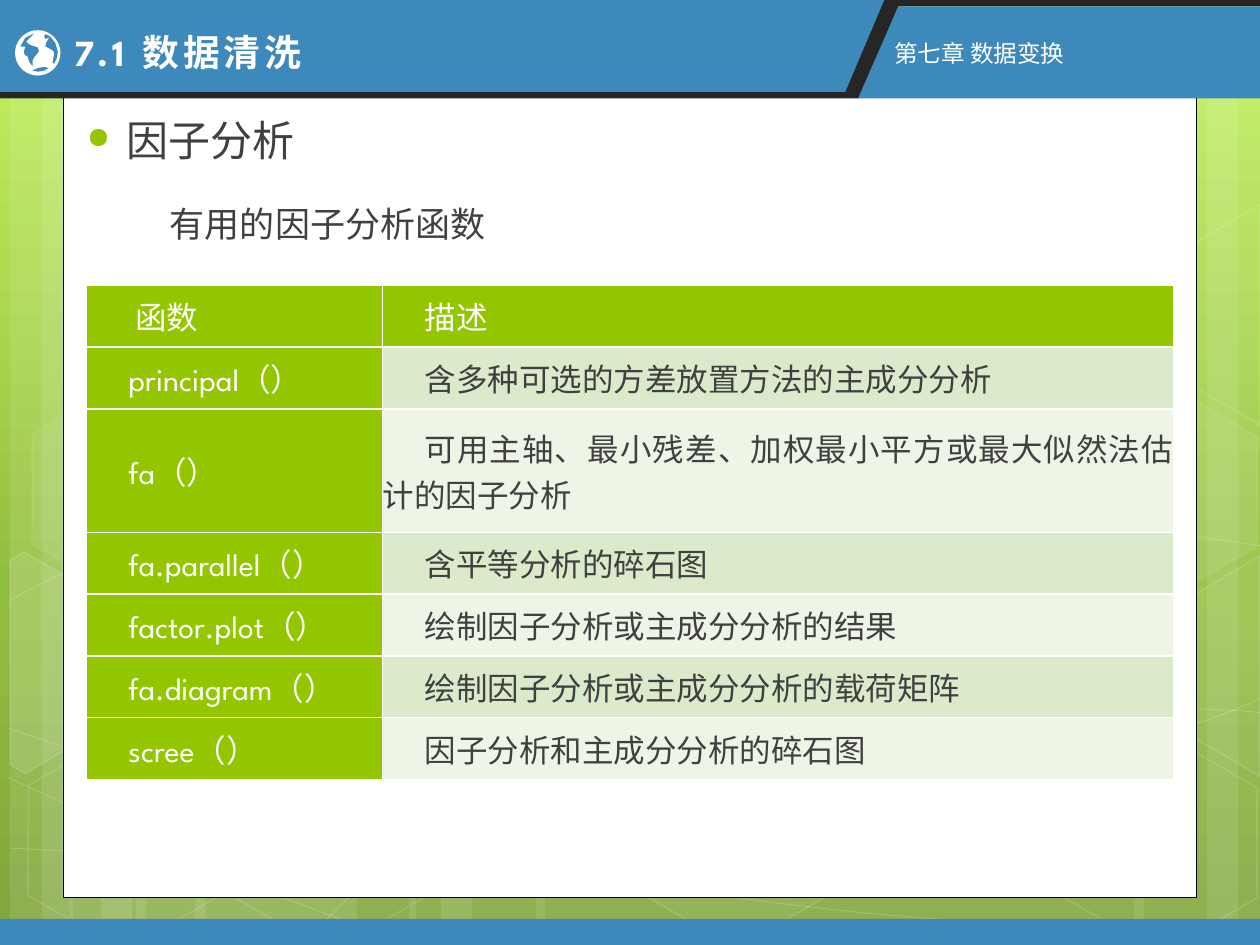
import copy
import math

from lxml import etree
from pptx import Presentation
from pptx.dml.color import RGBColor
from pptx.enum.shapes import MSO_SHAPE
from pptx.enum.text import MSO_ANCHOR, PP_ALIGN
from pptx.oxml.ns import qn
from pptx.util import Pt

RECT, HEXAGON = MSO_SHAPE.RECTANGLE, MSO_SHAPE.HEXAGON
MIDDLE, JUSTIFY = MSO_ANCHOR.MIDDLE, PP_ALIGN.JUSTIFY
FONT = "League Spartan"
BLUE, GREEN, DARK, WHITE, GREY = "3D89BC", "94C600", "262626", "FFFFFF", "404040"


def paint(fill, color, alpha=100):
    """Solid colour for a shape, line, font or cell; alpha 0 means no fill."""
    if alpha == 0:
        fill.background()
        return
    fill.solid()
    fill.fore_color.rgb = RGBColor.from_string(color)
    if alpha < 100:
        clr = fill._xPr.find(qn("a:solidFill"))[0]
        etree.SubElement(clr, qn("a:alpha")).set("val", str(alpha * 1000))


def outline(contours, color, alpha=100, close=True):
    """Freeform in points; further contours cut holes."""
    builder = None
    for contour in contours:
        pts = [(Pt(x), Pt(y)) for x, y in contour]
        if builder is None:
            builder = slide.shapes.build_freeform(*pts[0], scale=1.0)
        else:
            builder.move_to(*pts[0])
        builder.add_line_segments(pts[1:], close=close)
    s = builder.convert_to_shape()
    s.shadow.inherit = False
    paint(s.fill, color, alpha)
    s.line.fill.background()
    return s


prs = Presentation()
prs.slide_width, prs.slide_height = Pt(720), Pt(540)
slide = prs.slides.add_slide(prs.slide_layouts[6])

# Background gradient, top to bottom
bg = slide.background.fill
bg.gradient()
bg.gradient_angle = 270
stop_list = bg._xPr.find(qn("a:gradFill")).find(qn("a:gsLst"))
stop_list.append(copy.deepcopy(stop_list[-1]))
for stop, pos, color in zip(bg.gradient_stops, (0, 0.62, 1), ("C3F35F", "93BF3F", "81A53E")):
    stop.position = pos
    stop.color.rgb = RGBColor.from_string(color)

# Pale vertical bands
for x, w in (
    (77.76, 126), (5.76, 36), (23.76, 59.76), (111.6, 126), (39.6, 36), (57.6, 59.76),
    (527.76, 126), (689.76, 36), (648, 59.76), (306, 221.76), (234, 36), (252, 59.76),
):
    s = slide.shapes.add_shape(RECT, Pt(x), 0, Pt(w), Pt(540))
    s.shadow.inherit = False
    paint(s.fill, WHITE, 10)
    s.line.fill.background()

# Thin curved strands: a start, then Bézier triples, in inches
for nodes in (
    [(.07, 6.73), (.61, 6.76), (1.15, 6.79), (1.9, 6.78), (2.65, 6.77), (3.58, 6.75),
     (4.58, 6.65), (5.58, 6.55), (7, 6.36), (7.92, 6.17), (8.83, 5.98), (9.77, 5.68),
     (10.07, 5.51)],
    [(.07, 4.77), (.36, 4.61), (.65, 4.46), (1.21, 4.31), (1.78, 4.16), (2.59, 3.94),
     (3.47, 3.87), (4.36, 3.8), (5.44, 3.79), (6.54, 3.87), (7.64, 3.95), (9.47, 4.26),
     (10.07, 4.34)],
    [(.06, 6.17), (1.27, 6.72), (2.47, 7.27), (3.34, 7.49)],
    [(.07, 5.78), (.38, 5.89), (.7, 6), (1.28, 6.16), (1.86, 6.31), (2.73, 6.56),
     (3.57, 6.73), (4.4, 6.9), (5.45, 7.08), (6.28, 7.18), (7.11, 7.29), (8, 7.33),
     (8.53, 7.36), (9.05, 7.4), (9.19, 7.38), (9.45, 7.38), (9.71, 7.37), (9.89, 7.35),
     (10.07, 7.34)],
    [(2.42, 7.49), (2.6, 7.29), (2.78, 7.09), (3.02, 6.91), (3.26, 6.73), (3.6, 6.53),
     (3.88, 6.39), (4.16, 6.25), (4.33, 6.19), (4.7, 6.09), (5.06, 5.99), (5.73, 5.85),
     (6.08, 5.78), (6.44, 5.71), (6.49, 5.71), (6.8, 5.69), (7.11, 5.66), (7.6, 5.63),
     (7.94, 5.62), (8.29, 5.61), (9.53, 5.6), (10.06, 5.66)],
):
    curve = [(nodes[0][0] * 72, nodes[0][1] * 72)]
    for i in range(0, len(nodes) - 1, 3):
        for t in (k / 8 for k in range(1, 9)):
            weights = ((1 - t) ** 3, 3 * t * (1 - t) ** 2, 3 * t * t * (1 - t), t ** 3)
            curve.append([72 * sum(f * n[axis] for f, n in zip(weights, nodes[i:i + 4]))
                          for axis in (0, 1)])
    s = outline([curve], WHITE, 0, close=False)
    paint(s.line.fill, WHITE, 20)
    s.line.width = Pt(0.5)

# Hexagons: whole ones, then those cut by the slide edge
for x, y, fill_alpha, line_alpha in (
    (357.84, 424.08, 6, 12), (7.92, 425.5, 0, 12), (10.08, 224.64, 7, 8),
    (125.28, 426.24, 0, 12), (600.48, 426.96, 0, 12), (600.48, 226.08, 7, 8),
):
    s = slide.shapes.add_shape(HEXAGON, Pt(x), Pt(y), Pt(126), Pt(109.44))
    s.adjustments[0], s.adjustments[1] = 0.285, 1.155
    s.rotation = 30
    s.shadow.inherit = False
    paint(s.fill, WHITE, fill_alpha)
    paint(s.line.fill, WHITE, line_alpha)
    s.line.width = Pt(1)

left_cut = [(5.8, 320.4), (13.7, 315.4), (69.1, 347), (68.4, 410.4), (14.4, 442), (5.8, 437)]
right_cut = [(666.7, 349.2), (720, 317.5), (720, 443.5), (666.7, 412.6)]
upper_cut = [(x, y - 200.7) for x, y in right_cut]
for cut, alpha in ((left_cut, 10), (right_cut, 4), (upper_cut, 0)):
    s = outline([cut], WHITE, alpha)
    paint(s.line.fill, WHITE, 12)
    s.line.width = Pt(1)

# White panel and footer bar
panel = slide.shapes.add_shape(RECT, Pt(36), Pt(26), Pt(648), Pt(487))
footer = slide.shapes.add_shape(RECT, 0, Pt(525), Pt(720), Pt(15))
for s, color in ((panel, WHITE), (footer, BLUE)):
    s.shadow.inherit = False
    paint(s.fill, color)
    s.line.fill.background()
paint(panel.line.fill, "000000")
panel.line.width = Pt(0.5)

# Header: title band, dark stripe, chapter band
outline([[(0, 0), (720, 0), (507.6, 0), (485.3, 52.6), (0, 52.6)]], BLUE)
outline([[(505.4, 0), (720, 0), (720, 3.6), (513.4, 3.6), (491, 56.2), (0, 56.2),
          (0, 52.6), (483.1, 52.6)]], DARK)
outline([[(513.4, 3.6), (720, 3.6), (720, 56.2), (490.3, 56.2)]], BLUE)

# Globe icon: disc with land cut out, in hundredths of an inch
disc = [(30 + 18 * math.cos(math.radians(a)), 42 + 18 * math.sin(math.radians(a)))
        for a in range(0, 360, 10)]
east = [(46, 41), (45.3, 46), (43, 51), (41.8, 49.5), (42, 48), (43, 43), (42.3, 40.5), (40, 39),
        (36, 37), (36.5, 34), (39, 30), (36, 31), (35, 29), (36, 27), (40, 29), (44, 34)]
west = [(28, 26), (26, 28), (24, 30), (21, 33), (23, 35), (25, 36), (30, 37.5), (31, 41),
        (27, 46), (26, 48), (26, 53), (23, 49), (22, 45), (19.5, 43.5), (19, 41), (20, 37),
        (16, 37), (20, 30)]
south = [(25, 56), (28, 55), (30, 54), (35, 53), (39, 54), (35, 56.3), (30, 57)]
outline([[(x * 0.72, y * 0.72) for x, y in c] for c in (disc, east, west, south)], WHITE)

# Text boxes
for text, x, y, w, h, size, color, wrap in (
    ("因子分析", 42.48, 61.92, 447.84, 36, 24, GREY, True),
    ("7.1 数据清洗", 35.28, 13.68, 156.24, 32.4, 21, WHITE, False),
    ("第七章 数据变换", 504, 18.72, 113.76, 23.76, 13.5, WHITE, False),
    ("有用的因子分析函数", 90, 112, 553.68, 31.68, 20, GREY, True),
):
    s = slide.shapes.add_textbox(Pt(x), Pt(y), Pt(w), Pt(h))
    tf = s.text_frame
    tf.word_wrap = wrap
    tf.text = text
    p = tf.paragraphs[0]
    r = p.runs[0]
    r.font.name, r.font.size = FONT, Pt(size)
    paint(r.font.fill, color)
    if size == 24:  # bulleted heading
        pPr = p._p.get_or_add_pPr()
        pPr.set("marL", str(Pt(22.5)))
        pPr.set("indent", str(-Pt(22.5)))
        bullet_color = etree.SubElement(pPr, qn("a:buClr"))
        etree.SubElement(bullet_color, qn("a:srgbClr")).set("val", GREEN)
        etree.SubElement(pPr, qn("a:buSzPct")).set("val", "70000")
        etree.SubElement(pPr, qn("a:buChar")).set("char", "●")
    elif size == 21:  # spaced title
        r.font.bold = True
        r._r.get_or_add_rPr().set("spc", "220")

# Function table
rows = [
    ("函数", "描述"),
    ("principal（）", "含多种可选的方差放置方法的主成分分析"),
    ("fa（）", "可用主轴、最小残差、加权最小平方或最大似然法估计的因子分析"),
    ("fa.parallel（）", "含平等分析的碎石图"),
    ("factor.plot（）", "绘制因子分析或主成分分析的结果"),
    ("fa.diagram（）", "绘制因子分析或主成分分析的载荷矩阵"),
    ("scree（）", "因子分析和主成分分析的碎石图"),
]
table = slide.shapes.add_table(len(rows), 2, Pt(49.4), Pt(163), Pt(621.2), Pt(282.4)).table
table.columns[0].width, table.columns[1].width = Pt(169.2), Pt(452)
for i, row in enumerate(rows):
    table.rows[i].height = Pt(70.6 if i == 2 else 35.3)
    for j, text in enumerate(row):
        cell = table.cell(i, j)
        cell.margin_left = cell.margin_right = cell.margin_top = cell.margin_bottom = 0
        cell.vertical_anchor = MIDDLE
        tcPr = cell._tc.get_or_add_tcPr()
        for side in ("a:lnL", "a:lnR", "a:lnT", "a:lnB"):
            ln = etree.SubElement(tcPr, qn(side), w=str(Pt(1)))
            solid = etree.SubElement(ln, qn("a:solidFill"))
            etree.SubElement(solid, qn("a:srgbClr")).set("val", WHITE)
        head = i == 0 or j == 0
        paint(cell.fill, GREEN if head else ("EEF5E7", "DCEACC")[i % 2])
        cell.text_frame.text = text
        p = cell.text_frame.paragraphs[0]
        p.alignment = JUSTIFY
        p._p.get_or_add_pPr().set("indent", str(Pt(28 if i == j == 0 else 24)))
        r = p.runs[0]
        r.font.name, r.font.size, r.font.bold = FONT, Pt(18), False
        paint(r.font.fill, WHITE if head else GREY)

prs.save("out.pptx")
